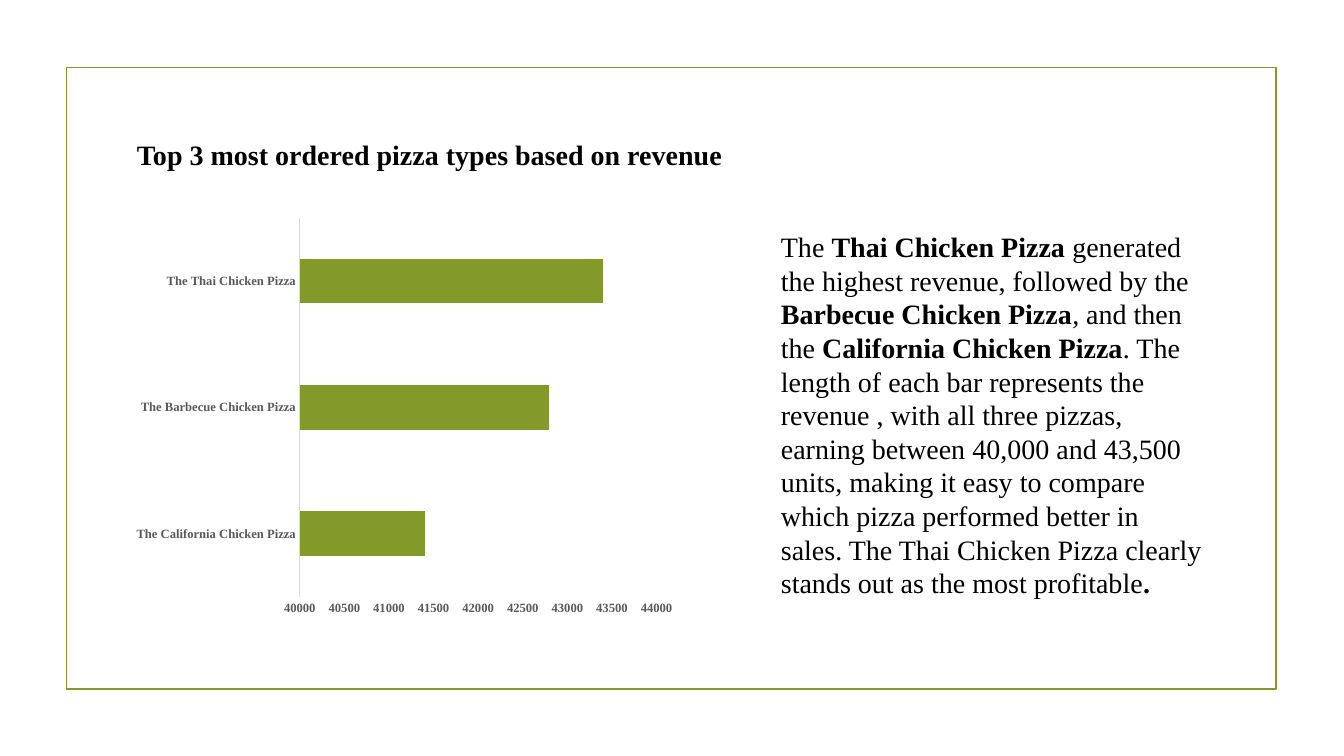
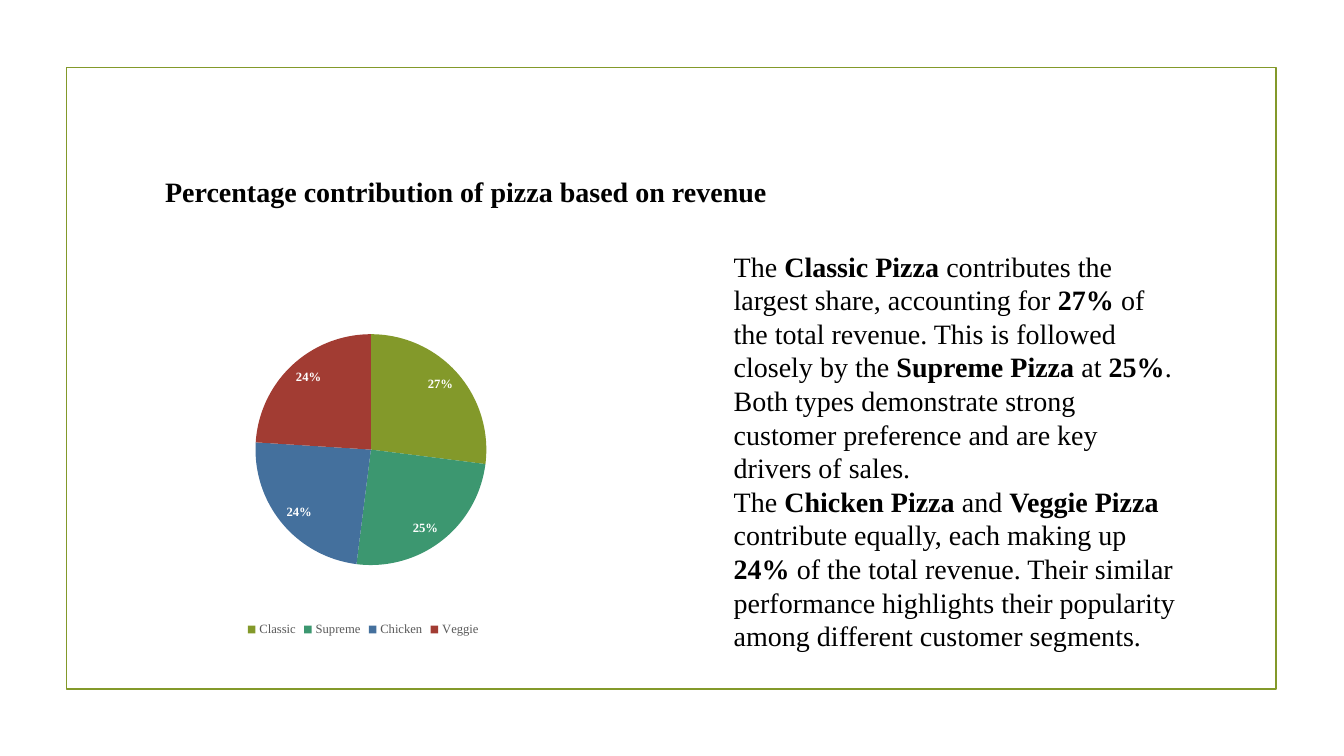
from pptx import Presentation
from pptx.chart.data import CategoryChartData
from pptx.dml.color import RGBColor
from pptx.enum.chart import XL_CHART_TYPE, XL_LABEL_POSITION, XL_LEGEND_POSITION, XL_TICK_MARK
from pptx.enum.shapes import MSO_SHAPE
from pptx.oxml import parse_xml
from pptx.oxml.ns import nsdecls, qn
from pptx.util import Cm, Pt

BAR, PIE = XL_CHART_TYPE.BAR_CLUSTERED, XL_CHART_TYPE.PIE
RECT = MSO_SHAPE.RECTANGLE
INSIDE_END = XL_LABEL_POSITION.INSIDE_END
BOTTOM = XL_LEGEND_POSITION.BOTTOM
NO_TICK = XL_TICK_MARK.NONE

FONT = "Times New Roman"
COLORS = {
    "text": "000000", "muted": "595959", "axis": "D9D9D9", "white": "FFFFFF",
    "olive": "83992A", "green": "3C9770", "blue": "44709D", "red": "A23C33",
}
SLICE_COLORS = ["olive", "green", "blue", "red"]
FRAME_BOX = (1.68, 1.7, 30.48, 15.67)

# Boxes are left, top, width, height in cm; ** marks bold text.
SLIDES = [
    {
        "title": "Top 3 most ordered pizza types based on revenue",
        "title_box": (3.2, 3.35, 16.4, 1.12),
        "body": [
            "The **Thai Chicken Pizza **generated the highest revenue, followed by the "
            "**Barbecue Chicken Pizza**, and then the **California Chicken Pizza**. "
            "The length of each bar represents the revenue , with all three pizzas, "
            "earning between 40,000 and 43,500 units, making it easy to compare which "
            "pizza performed better in sales. The Thai Chicken Pizza clearly stands out "
            "as the most profitable**.**",
        ],
        "body_box": (19.43, 5.66, 11.23, 9.65),
        "chart": BAR,
        "chart_box": (3.2, 5.28, 14.05, 10.39),
        "plot": (0.31, 0.02, 0.64, 0.92),
        "data": {
            "The California Chicken Pizza": 41400,
            "The Barbecue Chicken Pizza": 42800,
            "The Thai Chicken Pizza": 43400,
        },
    },
    {
        "title": "Percentage contribution of pizza based on revenue",
        "title_box": (3.91, 4.27, 16.2, 1.88),
        "body": [
            "The **Classic Pizza** contributes the largest share, accounting for **27%** "
            "of the total revenue. This is followed closely by the **Supreme Pizza** at "
            "**25%**. Both types demonstrate strong customer preference and are key "
            "drivers of sales.",
            "The **Chicken Pizza** and **Veggie Pizza** contribute equally, each making "
            "up **24%** of the total revenue. Their similar performance highlights their "
            "popularity among different customer segments.",
        ],
        "body_box": (18.24, 6.15, 11.71, 10.44),
        "chart": PIE,
        "chart_box": (2.69, 5.56, 12.93, 10.59),
        "plot": (0.29, 0.22, 0.45, 0.65),
        "data": {"Classic": 27, "Supreme": 25, "Chicken": 24, "Veggie": 24},
    },
]


def rgb(name):
    return RGBColor.from_string(COLORS[name])


def cm(box):
    return [Cm(v) for v in box]


def style_font(font, size, color="text", bold=False):
    font.name, font.size, font.bold = FONT, Pt(size), bold
    font.color.rgb = rgb(color)


def paint(fill, color):
    fill.solid()
    fill.fore_color.rgb = rgb(color)


def add_frame(s):
    sp = s.shapes.add_shape(RECT, *cm(FRAME_BOX))
    sp.shadow.inherit = False
    sp.fill.background()
    sp.line.color.rgb = rgb("olive")
    sp.line.width = Pt(1.25)


def add_text(s, paragraphs, box, size=20, color="text", bold=False):
    """Add a text box; ** in a paragraph switches bold on and off."""
    tf = s.shapes.add_textbox(*cm(box)).text_frame
    tf.word_wrap = True
    for i, text in enumerate(paragraphs):
        p = tf.add_paragraph() if i else tf.paragraphs[0]
        for j, part in enumerate(text.split("**")):
            if part:
                r = p.add_run()
                r.text = part
                style_font(r.font, size, color, bold or j % 2 == 1)


def place_plot(chart, box):
    """Fix the inner plot area, given as fractions of the chart."""
    area = chart._chartSpace.chart.plotArea
    for old in area.findall(qn("c:layout")):
        area.remove(old)
    sizes = "".join(f'<c:{k} val="{v}"/>' for k, v in zip("xywh", box))
    area.insert(0, parse_xml(
        f'<c:layout {nsdecls("c")}><c:manualLayout><c:layoutTarget val="inner"/>'
        f'<c:xMode val="edge"/><c:yMode val="edge"/>{sizes}</c:manualLayout></c:layout>'))


def style_bar(chart):
    plot = chart.plots[0]
    plot.gap_width = 182
    paint(plot.series[0].format.fill, "olive")
    names, values = chart.category_axis, chart.value_axis
    for axis in (names, values):
        axis.major_tick_mark = axis.minor_tick_mark = NO_TICK
        axis.has_major_gridlines = False
        style_font(axis.tick_labels.font, 9, "muted", bold=True)
    names.format.line.color.rgb = rgb("axis")
    names.format.line.width = Pt(0.75)
    values.format.line.fill.background()
    values.minimum_scale, values.maximum_scale = 40000, 44000
    values.major_unit = 500


def style_pie(chart):
    plot = chart.plots[0]
    for i, color in enumerate(SLICE_COLORS):
        paint(plot.series[0].points[i].format.fill, color)
    plot.has_data_labels = True
    labels = plot.data_labels
    labels.show_percentage, labels.show_value = True, False
    labels.number_format, labels.number_format_is_linked = "0%", False
    labels.position = INSIDE_END
    style_font(labels.font, 9, "white", bold=True)
    chart.has_legend = True
    chart.legend.position = BOTTOM
    chart.legend.include_in_layout = False
    style_font(chart.legend.font, 9, "muted")


def add_chart(s, kind, data, box, plot_box):
    cd = CategoryChartData()
    cd.categories = list(data)
    cd.add_series("Series 1", list(data.values()))
    chart = s.shapes.add_chart(kind, *cm(box), cd).chart
    chart.has_title = chart.has_legend = False
    style_font(chart.font, 10)
    chart.plots[0].vary_by_categories = kind == PIE
    place_plot(chart, plot_box)
    (style_pie if kind == PIE else style_bar)(chart)


def main():
    prs = Presentation()
    prs.slide_width, prs.slide_height = Cm(33.87), Cm(19.05)
    for c in SLIDES:
        s = prs.slides.add_slide(prs.slide_layouts[6])
        add_frame(s)
        add_chart(s, c["chart"], c["data"], c["chart_box"], c["plot"])
        add_text(s, [c["title"]], c["title_box"], bold=True)
        add_text(s, c["body"], c["body_box"])
    prs.save("out.pptx")


if __name__ == "__main__":
    main()
